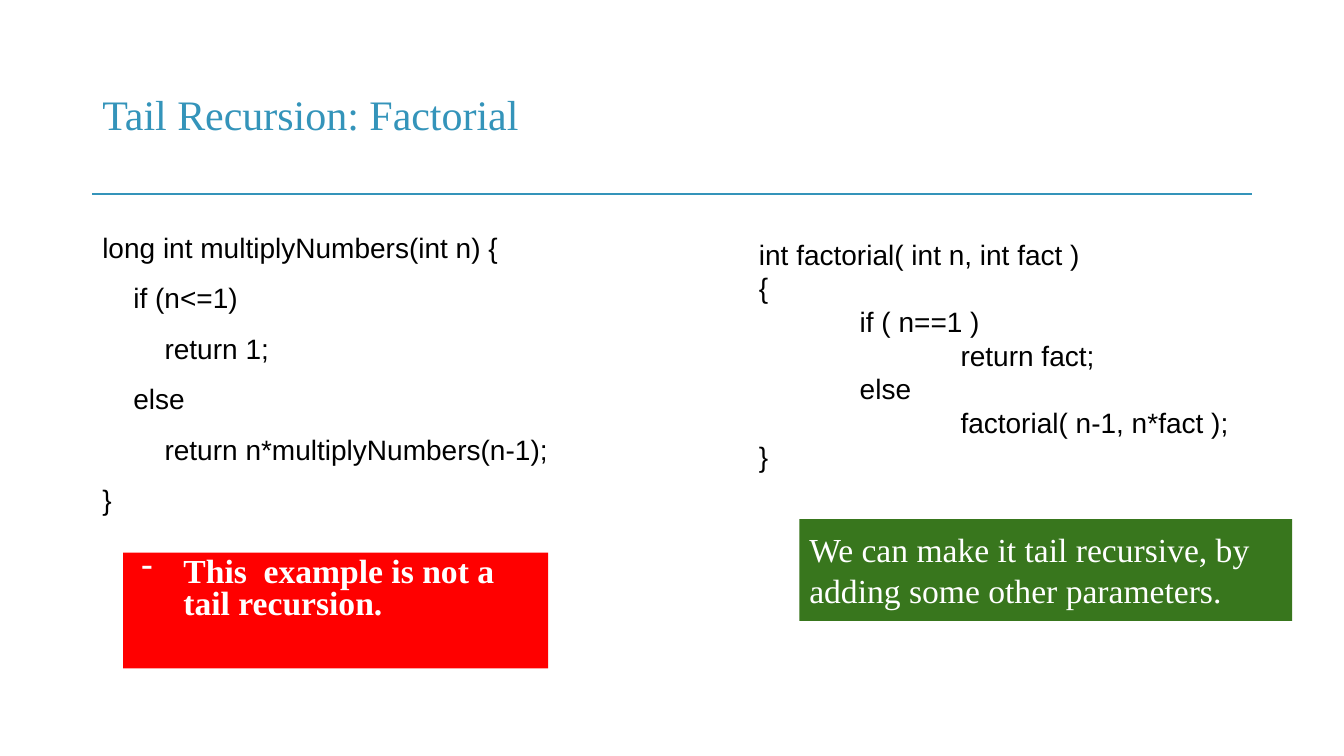
from dataclasses import dataclass

from lxml.etree import SubElement
from pptx import Presentation
from pptx.dml.color import RGBColor
from pptx.enum.shapes import MSO_CONNECTOR, MSO_SHAPE
from pptx.enum.text import MSO_ANCHOR, PP_ALIGN
from pptx.oxml.ns import qn
from pptx.util import Pt

HUES = {
    "teal": "3494BA",
    "red": "FF0000",
    "green": "38761D",
    "white": "FFFFFF",
    "black": "000000",
}
SERIF, SANS = "Times New Roman", "Arial"


@dataclass
class Line:
    text: str
    level: int = 0


@dataclass
class Box:
    left: float
    top: float
    width: float
    height: float
    lines: list[Line]
    style: dict
    fill: str = ""
    inset: float = 7.2
    anchor: MSO_ANCHOR = MSO_ANCHOR.TOP


def hue(name: str) -> RGBColor:
    return RGBColor.from_string(HUES[name])


def write(para, text: str, *, font: str, size: float, color: str,
          bold: bool = False, space: float = 1.0, left: float = 0,
          hang: float = 0, bullet: str = "") -> None:
    para.alignment = PP_ALIGN.LEFT
    para.line_spacing = space
    run = para.add_run()
    run.text = text
    run.font.name = font
    run.font.size = Pt(size)
    run.font.bold = bold
    run.font.color.rgb = hue(color)
    props = para._p.get_or_add_pPr()
    props.set("marL", str(Pt(left)))
    props.set("indent", str(Pt(-hang)))
    if bullet:
        tint = SubElement(props, qn("a:buClr"))
        SubElement(tint, qn("a:srgbClr"), val=HUES[color])
        SubElement(props, qn("a:buChar"), char=bullet)


def draw(slide, box: Box, step: float = 0) -> None:
    """Add a box of text, each level of a line indented by one step."""
    place = [Pt(n) for n in (box.left, box.top, box.width, box.height)]
    if box.fill:
        shape = slide.shapes.add_shape(MSO_SHAPE.RECTANGLE, *place)
        shape.shadow.inherit = False
        shape.fill.solid()
        shape.fill.fore_color.rgb = hue(box.fill)
        shape.line.fill.background()
    else:
        shape = slide.shapes.add_textbox(*place)
    frame = shape.text_frame
    frame.word_wrap = True
    frame.vertical_anchor = box.anchor
    frame.margin_left = frame.margin_right = Pt(7.2)
    frame.margin_top = Pt(box.inset)
    frame.margin_bottom = Pt(3.6)
    for i, line in enumerate(box.lines):
        para = frame.add_paragraph() if i else frame.paragraphs[0]
        write(para, line.text, **{"left": line.level * step, **box.style})


def rule(slide, left: float, right: float, top: float) -> None:
    line = slide.shapes.add_connector(
        MSO_CONNECTOR.STRAIGHT, Pt(left), Pt(top), Pt(right), Pt(top))
    line.line.color.rgb = hue("teal")
    line.line.width = Pt(1.5)
    SubElement(line._element.spPr, qn("a:effectLst"))


def main() -> None:
    deck = Presentation()
    deck.slide_width, deck.slide_height = Pt(960), Pt(540)
    slide = deck.slides.add_slide(deck.slide_layouts[6])
    code = dict(font=SANS, size=20, color="black")
    note = dict(font=SERIF, size=24, color="white")

    rule(slide, 66, 894, 138.5)
    draw(slide, Box(
        66, 31, 828, 104.4, [Line("Tail Recursion: Factorial")],
        dict(font=SERIF, size=30, color="teal", space=0.9),
        inset=3.6, anchor=MSO_ANCHOR.MIDDLE))
    draw(slide, Box(
        88, 394.8, 303.6, 82.6,
        [Line("This  example is not a tail recursion.")],
        dict(note, bold=True, space=0.8, left=36, hang=30, bullet="-"),
        fill="red", inset=3.6))
    draw(slide, Box(
        66, 145.5, 388, 250, [
            Line("long int multiplyNumbers(int n) {"),
            Line("if (n<=1)", 1),
            Line("return 1;", 2),
            Line("else", 1),
            Line("return n*multiplyNumbers(n-1);", 2),
            Line("}"),
        ], dict(code, space=1.5)), step=22.24)
    draw(slide, Box(
        535, 146.2, 375, 218, [
            Line("int factorial( int n, int fact )"),
            Line("{"),
            Line("if ( n==1 )", 1),
            Line("return fact;", 2),
            Line("else", 1),
            Line("factorial( n-1, n*fact );", 2),
            Line("}"),
        ], code, inset=23.3), step=72)
    draw(slide, Box(
        571, 370.8, 352, 72.7,
        [Line("We can make it tail recursive, by adding some other parameters.")],
        note, fill="green"))
    deck.save("out.pptx")


if __name__ == "__main__":
    main()
